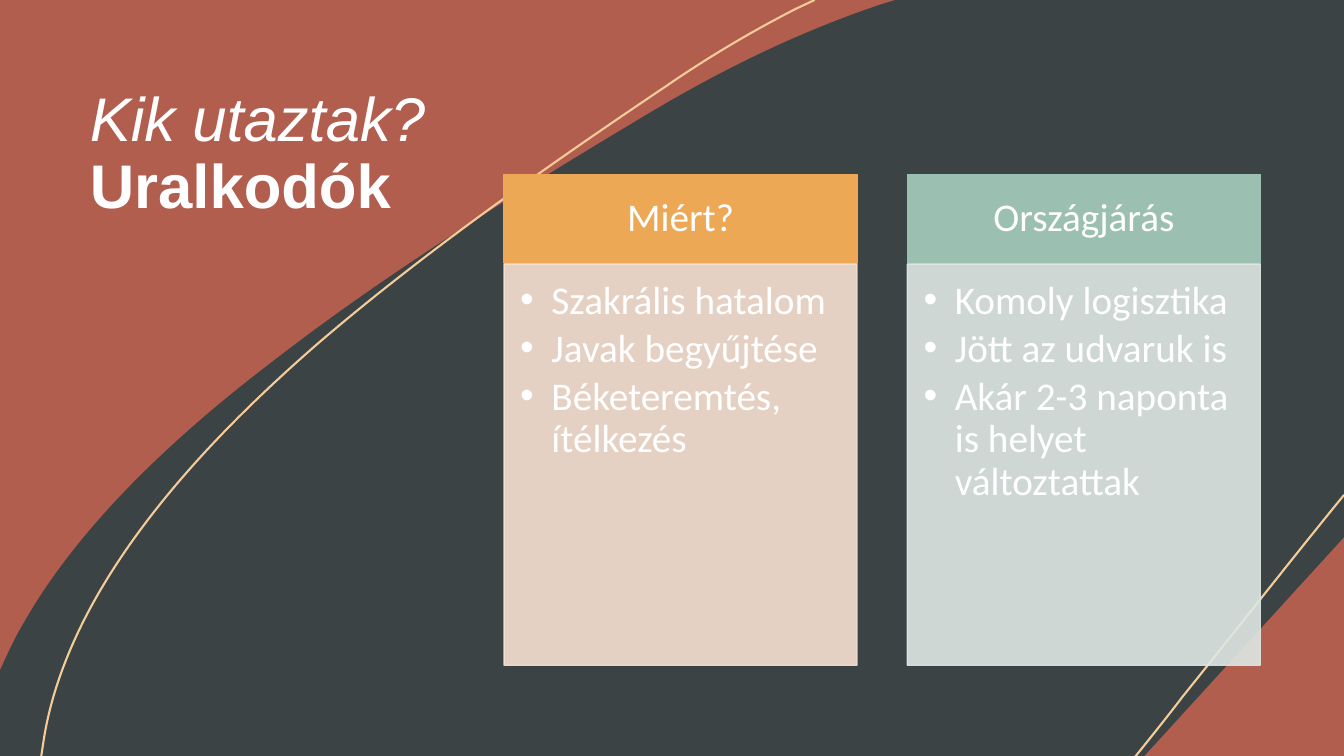
import dataclasses

import pptx
import pptx.dml.color
import pptx.enum.text
import pptx.oxml
import pptx.oxml.ns
import pptx.util

Inches = pptx.util.Inches
Pt = pptx.util.Pt


@dataclasses.dataclass(frozen=True)
class Theme:
    brick: str = "B15E4E"
    slate: str = "3B4345"
    sand: str = "F4CB99"
    white: str = "FFFFFF"
    orange: str = "ECA855"
    peach: str = "F8E1D1"
    green: str = "9BBFB0"
    mint: str = "DEE8E4"
    title_font: str = "Arial"
    body_font: str = "Calibri"
    title_size: int = 44
    body_size: int = 28


theme = Theme()


def color(code):
    return pptx.dml.color.RGBColor.from_string(code)


def draw_curve(page, start, segments, closed):
    """Draw line (x, y) and cubic (x1, y1, x2, y2, x, y) segments, in inches."""
    builder = page.shapes.build_freeform(*map(Inches, start))
    ends = [tuple(map(Inches, segment[-2:])) for segment in segments]
    builder.add_line_segments(ends, close=closed)
    shape = builder.convert_to_shape()
    shape.shadow.inherit = False
    # Give each cubic segment its two control points
    steps = list(shape.element.iter(pptx.oxml.ns.qn("a:lnTo")))
    for step, segment in zip(steps, segments):
        if len(segment) == 6:
            step.tag = pptx.oxml.ns.qn("a:cubicBezTo")
            for place in (0, 1):
                x, y = map(Inches, segment[2 * place:2 * place + 2])
                step.insert(place, pptx.oxml.parse_xml(
                    f'<a:pt {pptx.oxml.ns.nsdecls("a")} '
                    f'x="{x - shape.left}" y="{y - shape.top}"/>'))
    return shape


deck = pptx.Presentation()
deck.slide_width, deck.slide_height = Inches(13.33), Inches(7.5)
page = deck.slides.add_slide(deck.slide_layouts.get_by_name("Comparison"))
page.background.fill.solid()
page.background.fill.fore_color.rgb = color(theme.brick)

# Dark wave
wave = draw_curve(page, (8.88, 0), [
    (13.33, 0), (13.33, 5.33), (11.35, 7.5), (0, 7.5), (0, 6.66), (0, 6.65),
    (0.07, 6.5, 0.14, 6.34, 0.23, 6.19),
    (0.74, 5.29, 1.61, 4.42, 2.7, 3.59),
    (3.78, 2.75, 5.07, 1.94, 6.41, 1.14),
    (7.26, 0.63, 8.03, 0.28, 8.75, 0.04),
], True)
wave.fill.solid()
wave.fill.fore_color.rgb = color(theme.slate)
wave.line.fill.background()

# Thin sand-coloured curves
long_curve = (0.41, 7.5), [
    (0.43, 7.37),
    (0.49, 6.96, 0.63, 6.56, 0.83, 6.16),
    (1.31, 5.21, 2.13, 4.3, 3.14, 3.42),
    (4.15, 2.55, 5.35, 1.7, 6.6, 0.86),
    (7.05, 0.55, 7.48, 0.3, 7.89, 0.09),
    (8.08, 0),
]
corner_curve = (13.33, 4.91), [
    (12.8, 5.56, 12.27, 6.24, 11.73, 6.91),
    (11.58, 7.11, 11.24, 7.53, 11.24, 7.53),
]
for start, segments in (long_curve, corner_curve):
    curve = draw_curve(page, start, segments, False)
    curve.fill.background()
    curve.line.color.rgb = color(theme.sand)
    curve.line.width = Pt(1.5)

# Title
title = page.shapes.title
title.left, title.top = Inches(0.79), Inches(0.83)
title.width, title.height = Inches(3.9), Inches(2.5)
title.text_frame.vertical_anchor = pptx.enum.text.MSO_ANCHOR.TOP
title.text_frame.auto_size = pptx.enum.text.MSO_AUTO_SIZE.NONE
para = title.text_frame.paragraphs[0]
para.alignment = pptx.enum.text.PP_ALIGN.LEFT
para.line_spacing = 0.9
for words, italic in (("Kik utaztak?", True), ("Uralkodók", False)):
    if not italic:
        para.add_line_break()
    span = para.add_run()
    span.text = words
    span.font.name = theme.title_font
    span.font.size = Pt(theme.title_size)
    span.font.color.rgb = color(theme.white)
    span.font.italic, span.font.bold = italic, not italic
page.shapes.element.append(title.element)

# Two columns, each a heading above a list
columns = [
    ("Miért?", theme.orange, theme.peach,
     ["Szakrális hatalom", "Javak begyűjtése", "Béketeremtés, ítélkezés"]),
    ("Országjárás", theme.green, theme.mint,
     ["Komoly logisztika", "Jött az udvaruk is",
      "Akár 2-3 naponta is helyet változtattak"]),
]
holders = {holder.placeholder_format.idx: holder for holder in page.placeholders}
for number, (heading, strong, pale, items) in enumerate(columns):
    parts = [
        (holders[2 * number + 1], 1.73, 0.88, strong, [heading], (0.22, 0.12, 0.22, 0.12)),
        (holders[2 * number + 2], 2.62, 3.98, pale, items, (0.16, 0.16, 0.22, 0.24)),
    ]
    for box, top, height, tint, lines, margins in parts:
        is_list = lines is items
        box.left, box.top = Inches(5 + 4 * number), Inches(top)
        box.width, box.height = Inches(3.5), Inches(height)
        box.fill.solid()
        box.fill.fore_color.rgb = color(tint)
        box.line.color.rgb = color(tint)
        box.line.width = Pt(1)
        if is_list:
            for code in box.element.spPr.iter(pptx.oxml.ns.qn("a:srgbClr")):
                code.append(pptx.oxml.parse_xml(
                    f'<a:alpha {pptx.oxml.ns.nsdecls("a")} val="90000"/>'))

        frame = box.text_frame
        frame.word_wrap = True
        frame.auto_size = pptx.enum.text.MSO_AUTO_SIZE.NONE
        anchors = pptx.enum.text.MSO_ANCHOR
        frame.vertical_anchor = anchors.TOP if is_list else anchors.MIDDLE
        (frame.margin_left, frame.margin_top,
         frame.margin_right, frame.margin_bottom) = map(Inches, margins)
        for row, words in enumerate(lines):
            para = frame.add_paragraph() if row else frame.paragraphs[0]
            para.line_spacing = 0.9
            para.space_before = Pt(0)
            if is_list:
                para.space_after = Pt(4.2)
                layout = para._p.get_or_add_pPr()
                layout.set("marL", str(Inches(0.31)))
                layout.set("indent", str(-Inches(0.31)))
                layout.append(pptx.oxml.parse_xml(
                    f'<a:buChar {pptx.oxml.ns.nsdecls("a")} char="•"/>'))
            else:
                para.alignment = pptx.enum.text.PP_ALIGN.CENTER
            span = para.add_run()
            span.text = words
            span.font.name = theme.body_font
            span.font.size = Pt(theme.body_size)
            span.font.bold = False
            span.font.color.rgb = color(theme.white)
        page.shapes.element.append(box.element)

deck.save("out.pptx")
